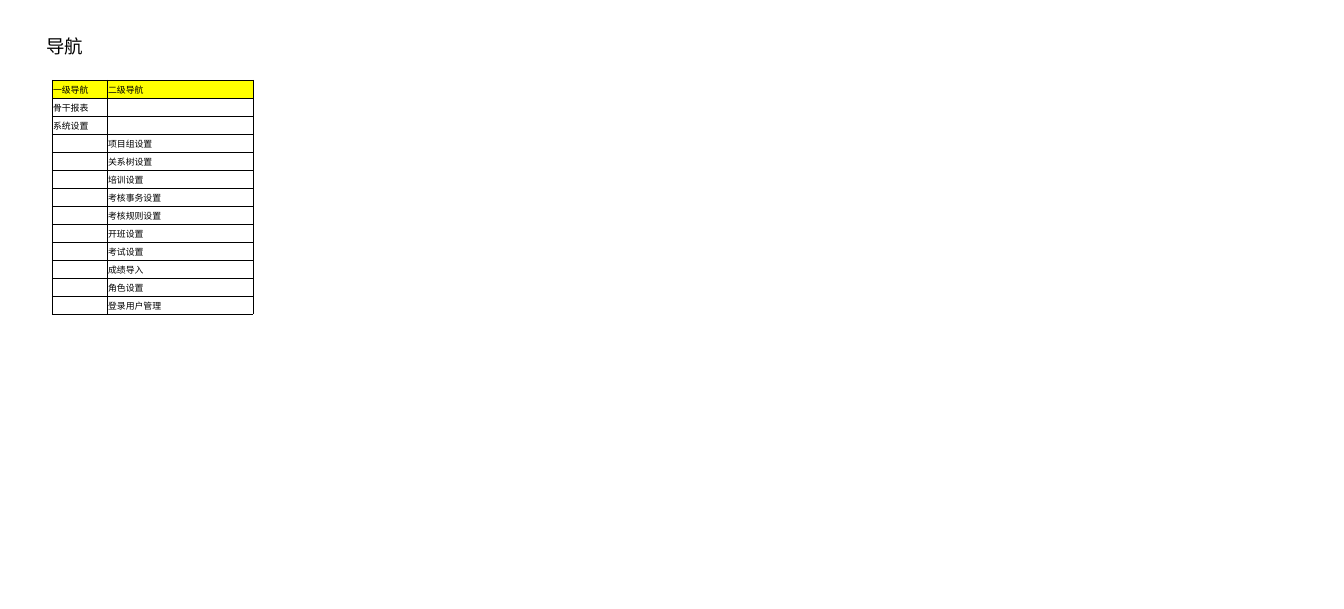
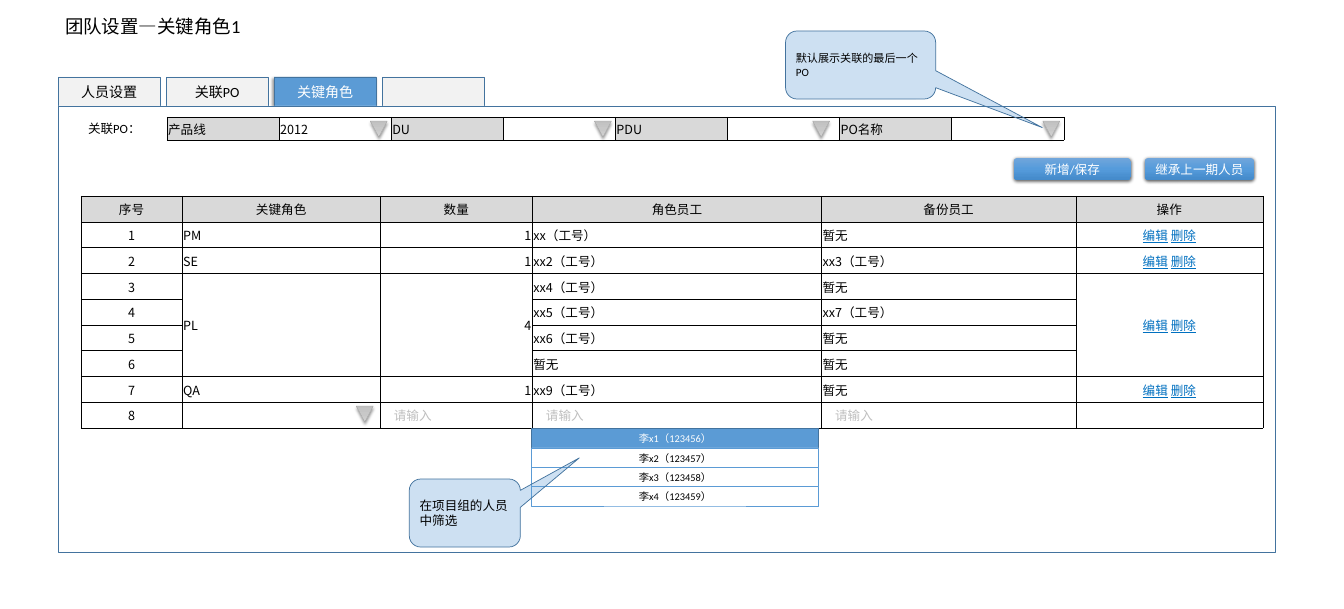
from pptx import Presentation
from pptx.dml.color import RGBColor as Rgb
from pptx.enum.shapes import MSO_SHAPE as Kind
from pptx.enum.text import MSO_ANCHOR as Anchor, PP_ALIGN as Align
from pptx.oxml.ns import qn
from pptx.util import Pt
from lxml.etree import SubElement
from copy import deepcopy

# Scale and shared look
SCALE = 914400 / 53.2
BLACK = Rgb(0x00, 0x00, 0x00)
WHITE = Rgb(0xFF, 0xFF, 0xFF)
YELLOW = Rgb(0xFF, 0xFF, 0x00)
PALE = Rgb(0xF2, 0xF2, 0xF2)
GREY = Rgb(0xD9, 0xD9, 0xD9)
HINT = Rgb(0xBF, 0xBF, 0xBF)
EDGE = Rgb(0xA5, 0xA5, 0xA5)
BLUE = Rgb(0x5B, 0x9B, 0xD5)
NAVY = Rgb(0x43, 0x73, 0x9E)
LINK = Rgb(0x00, 0x70, 0xC0)
GREY_FADE = (Rgb(0xD2, 0xD2, 0xD2), Rgb(0xC8, 0xC8, 0xC8), Rgb(0xC0, 0xC0, 0xC0))
BLUE_FADE = (Rgb(0x71, 0xA6, 0xDB), Rgb(0x55, 0x9B, 0xDB), Rgb(0x44, 0x8A, 0xCA))
HAN = "Noto Sans CJK SC"
LATIN = "Calibri"
LEFT, MID, RIGHT = Align.LEFT, Align.CENTER, Align.RIGHT


def px(size):
    return round(size * SCALE)


def box(*sizes):
    return [px(size) for size in sizes]


PAD = dict(margin_left=px(7), margin_right=px(7), margin_top=px(4),
           margin_bottom=px(4), word_wrap=True)
CELL = dict(margin_left=px(1), margin_right=px(1), margin_top=px(1),
            margin_bottom=0, vertical_anchor=Anchor.MIDDLE)


def style(item, values):
    for name, value in values.items():
        setattr(item, name, value)


def tag(parent, name, **values):
    return SubElement(parent, qn(name), {k: str(v) for k, v in values.items()})


# Text
def write(frame, text, size, font=LATIN, color=BLACK, align=LEFT):
    """Text is a string, or a list of (string, underlined) runs."""
    para = frame.paragraphs[0]
    para.alignment = align
    for part, under in [(text, None)] if isinstance(text, str) else text:
        run = para.add_run()
        run.text = part
        style(run.font, dict(size=Pt(size), name=font, underline=under))
        run.font.color.rgb = color
        tag(run.font._element, "a:ea", typeface=HAN)


def label(slide, at, text, size):
    frame = slide.shapes.add_textbox(*box(*at)).text_frame
    style(frame, PAD)
    write(frame, text, size)


def title(slide, left, top, text):
    label(slide, (left, top, 406, 30), text, 25)


# Shapes
def shade(shape, alpha, blur, dist, angle):
    effect = shape._element.spPr.find(qn("a:effectLst"))
    outer = tag(effect, "a:outerShdw", blurRad=Pt(blur), dist=Pt(dist),
                dir=angle * 60000, algn="ctr", rotWithShape=0)
    color = tag(outer, "a:srgbClr", val=BLACK)
    tag(color, "a:alpha", val=alpha * 1000)


def fade(shape, colors):
    shape.fill.gradient()
    shape.fill.gradient_angle = 270
    stops = shape._element.spPr.find(".//" + qn("a:gsLst"))
    stops.insert(1, deepcopy(stops[0]))
    for i, (stop, color) in enumerate(zip(shape.fill.gradient_stops, colors)):
        stop.color.rgb = color
        stop.position = i / 2


def draw(slide, kind, at, fill, line=None, width=1):
    shape = slide.shapes.add_shape(kind, *box(*at))
    shape.shadow.inherit = False
    if isinstance(fill, Rgb):
        shape.fill.solid()
        shape.fill.fore_color.rgb = fill
    else:
        fade(shape, fill)
    if line is None:
        shape.line.fill.background()
    else:
        shape.line.color.rgb = line
        shape.line.width = Pt(width)
    style(shape.text_frame, PAD)
    shape.text_frame.vertical_anchor = Anchor.MIDDLE
    return shape


def tab(slide, left, text, active):
    shape = draw(slide, Kind.RECTANGLE, (left, 77, 102, 29),
                 BLUE if active else PALE, NAVY)
    if active:
        shade(shape, 40, 4, 3, 135)
    if text:
        write(shape.text_frame, text, 19, color=WHITE if active else BLACK, align=MID)


def arrow(slide, left, top):
    shape = draw(slide, Kind.ISOSCELES_TRIANGLE, (left, top, 17, 16),
                 GREY_FADE, EDGE, 0.5)
    shape.rotation = 180
    shade(shape, 40, 4, 3, 90)


def button(slide, left, width, text):
    shape = draw(slide, Kind.ROUNDED_RECTANGLE, (left, 158, width, 22), BLUE_FADE)
    shade(shape, 63, 4.5, 1.5, 90)
    write(shape.text_frame, text, 17, color=WHITE, align=MID)


def option(slide, row, text):
    active = row == 0
    shape = draw(slide, Kind.RECTANGLE, (531, 428 + round(row * 19.5), 287, 20),
                 BLUE if active else WHITE, NAVY if active else BLUE)
    write(shape.text_frame, text, 14, color=WHITE if active else BLACK, align=MID)


def callout(slide, at, tip, text, size):
    shape = draw(slide, Kind.ROUNDED_RECTANGULAR_CALLOUT, at, BLUE, NAVY)
    for i, value in enumerate((*tip, 0.167)):
        shape.adjustments[i] = value
    color = shape._element.spPr.find(qn("a:solidFill"))[0]
    tag(color, "a:alpha", val=30000)
    write(shape.text_frame, text, size)


# Tables
def rule(cell):
    props = cell._tc.get_or_add_tcPr()
    for side in ("a:lnL", "a:lnR", "a:lnT", "a:lnB"):
        line = tag(props, side, w=Pt(0.5))
        tag(tag(line, "a:solidFill"), "a:srgbClr", val=BLACK)


def table(slide, left, top, high, cols, rows, size, look):
    """look(row, col, text) gives (fill or None, text format)."""
    frame = slide.shapes.add_table(len(rows), len(cols),
                                   *box(left, top, sum(cols), high))
    grid = frame.table
    style(grid, dict(first_row=False, horz_banding=False))
    for col, width in zip(grid.columns, cols):
        col.width = px(width)
    for r, row in enumerate(rows):
        grid.rows[r].height = px(high / len(rows))
        for c, text in enumerate(row):
            cell = grid.cell(r, c)
            style(cell, CELL)
            rule(cell)
            fill, form = look(r, c, text)
            if fill is None:
                cell.fill.background()
            else:
                cell.fill.solid()
                cell.fill.fore_color.rgb = fill
            if text:
                write(cell.text_frame, text, size, **form)
            else:
                tag(cell.text_frame.paragraphs[0]._p, "a:endParaRPr", sz=size * 100)
    return grid


# Slide 1: menu levels
def menu(slide):
    title(slide, 39, 31, "导航")
    pages = ["项目组设置", "关系树设置", "培训设置", "考核事务设置", "考核规则设置",
             "开班设置", "考试设置", "成绩导入", "角色设置", "登录用户管理"]
    rows = [("一级导航", "二级导航"), ("骨干报表", ""), ("系统设置", "")]
    rows += [("", page) for page in pages]
    noto = ("考核事务设置", "开班设置", "成绩导入")

    def look(r, c, text):
        return (YELLOW if r == 0 else None,
                dict(font=HAN if text in noto else "Arial"))

    table(slide, 52, 80, 234, (55, 146), rows, 12, look)


# Slide 2: key roles
def staff(slide):
    edit = [("编辑", True), (" ", False), ("删除", True)]
    none, hint = "暂无", "\u3000请输入"
    rows = [
        ("序号", "关键角色", "数量", "角色员工", "备份员工", "操作"),
        ("1", "PM", "1", "xx（工号）", none, edit),
        ("2", "SE", "1", "xx2（工号）", "xx3（工号）", edit),
        ("3", "PL", "4", "xx4（工号）", none, edit),
        ("4", "", "", "xx5（工号）", "xx7（工号）", ""),
        ("5", "", "", "xx6（工号）", none, ""),
        ("6", "", "", none, none, ""),
        ("7", "QA", "1", "xx9（工号）", none, edit),
        ("8", "", hint, hint, hint, ""),
    ]
    aligns = (MID, LEFT, RIGHT, LEFT, LEFT, MID)

    def look(r, c, text):
        form = dict(font=HAN, align=aligns[c])
        if r == 0:
            form.update(align=MID)
        elif text == hint:
            form.update(align=LEFT, color=HINT)
        elif text == edit:
            form.update(color=LINK)
        return GREY if r == 0 else None, form

    grid = table(slide, 81, 196, 232, (101, 198, 152, 289, 254, 187), rows, 17, look)
    for c in (1, 2, 5):
        grid.cell(3, c).merge(grid.cell(6, c))
    arrow(slide, 356, 406)


def filters(slide):
    label(slide, (81, 117, 93, 23), "关联PO：", 17)
    row = ("产品线", "2012", "DU", "", "PDU", "", "PO名称", "")

    def look(r, c, text):
        return GREY if c % 2 == 0 else None, dict(font=HAN)

    table(slide, 167, 117, 23, (112,) * 8, [row], 17, look)
    for left in (370, 594, 812, 1042):
        arrow(slide, left, 121)


def roles(slide):
    for i, text in enumerate(("人员设置", "关联PO", "关键角色", "")):
        tab(slide, 58 + 108 * i, text, i == 2)
    draw(slide, Kind.RECTANGLE, (58, 106, 1216, 446), WHITE, NAVY)
    staff(slide)
    button(slide, 1013, 117, "新增/保存")
    for i in range(4):
        option(slide, i, f"李x{i + 1}（{123456 + i}）")
    callout(slide, (409, 479, 111, 68), (1.03, -0.81), "在项目组的人员中筛选", 17)
    title(slide, 58, 11, "团队设置—关键角色1")
    filters(slide)
    callout(slide, (785, 31, 150, 68), (1.21, 0.92), "默认展示关联的最后一个PO", 15)
    button(slide, 1144, 109, "继承上一期人员")


def main():
    deck = Presentation()
    style(deck, dict(slide_width=px(1343), slide_height=px(609)))
    for build in (menu, roles):
        build(deck.slides.add_slide(deck.slide_layouts[6]))
    deck.save("out.pptx")


main()
